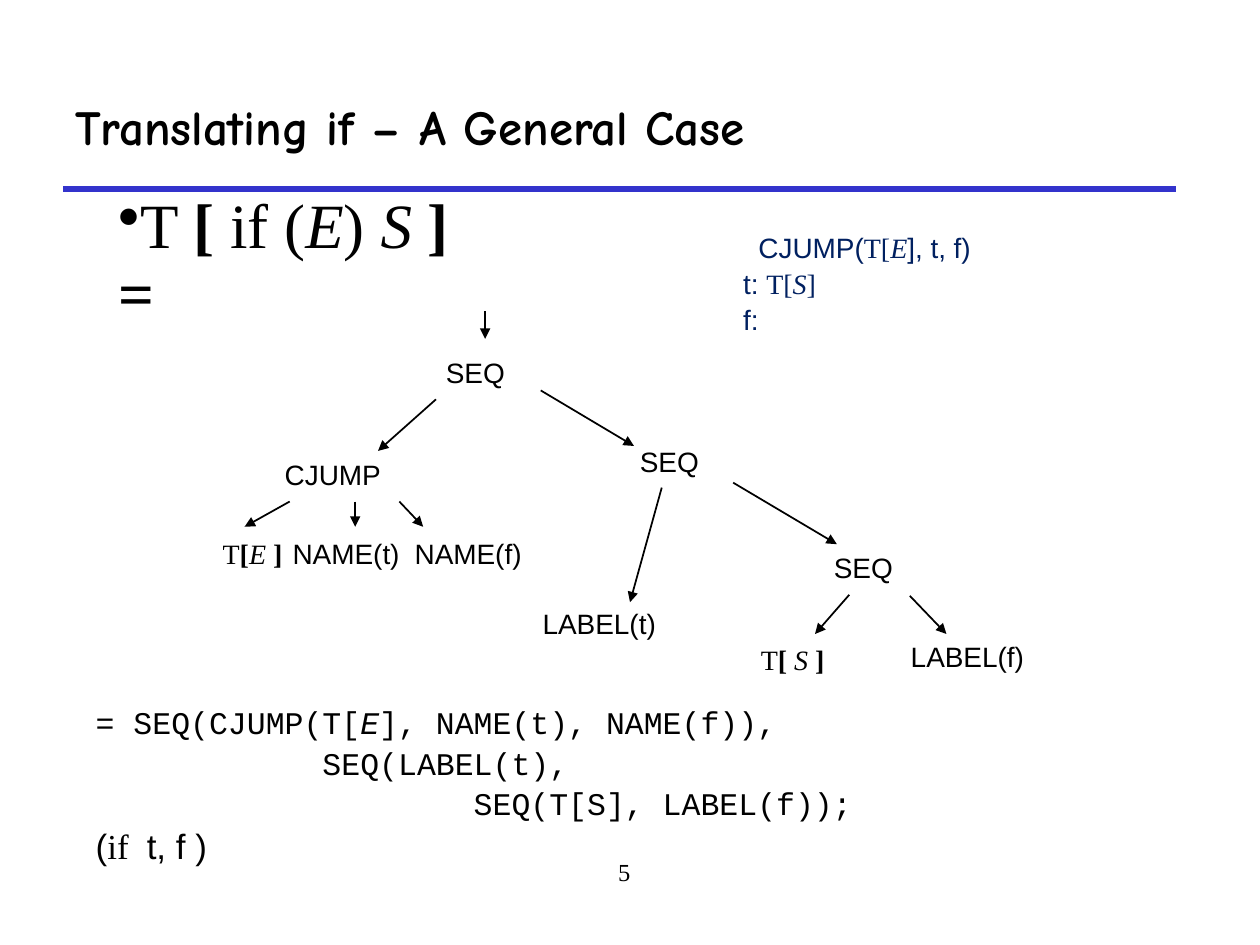
"""Build the slide on translating an if statement into a tree."""
from lxml.etree import SubElement as Sub
from pptx import Presentation
from pptx.dml.color import RGBColor as Rgb
from pptx.enum.shapes import MSO_CONNECTOR as Link
from pptx.enum.text import MSO_ANCHOR as Anchor, PP_ALIGN as Align
from pptx.oxml.ns import qn
from pptx.util import Cm, Pt

HUES = {"ink": "000000", "rule": "3333CC", "navy": "002060"}
SANS, ROMAN, MONO = "Arial", "Times New Roman", "Courier New"

deck = Presentation()
deck.slide_width, deck.slide_height = Cm(25.4), Cm(19.05)
slide = deck.slides.add_slide(deck.slide_layouts[6])


def write(spot, rows, size=16, hue="ink", anchor=Anchor.MIDDLE, wrap=True,
          tabs=(), bullet=None, lead=0.9):
    """Place a text box; each row lists (text, font, style) runs."""
    frame = slide.shapes.add_textbox(*map(Cm, spot)).text_frame
    frame.word_wrap, frame.vertical_anchor = wrap, anchor
    for i, row in enumerate(rows):
        para = frame.add_paragraph() if i else frame.paragraphs[0]
        props = para._p.get_or_add_pPr()
        if bullet:
            Sub(props, qn("a:buChar"), char=bullet)
        if any("\t" in run[0] for run in row):
            stops = Sub(props, qn("a:tabLst"))
            for stop in tabs:
                Sub(stops, qn("a:tab"), pos=str(Cm(stop)), algn="l")
        pts = 20 if "(" == row[0][0] else size
        para.line_spacing = lead
        if i:
            para.space_before = Pt(pts * 0.2)
        para.font.size = Pt(pts)
        para.font.color.rgb = Rgb.from_string(HUES[hue])
        same = len({run[1] for run in row}) == 1
        if same:
            para.font.name = row[0][1]
        for text, face, style in row:
            run = para.add_run()
            run.text = text
            if not same:
                run.font.name = face
            if style:
                run.font.bold, run.font.italic = style == "b", style == "i"
    return frame.paragraphs


def draw(ends, hue="ink", width=1):
    """Draw a straight line and return its line format element."""
    line = slide.shapes.add_connector(Link.STRAIGHT, *map(Cm, ends))
    line.line.color.rgb = Rgb.from_string(HUES[hue])
    line.line.width = Pt(width)
    Sub(line._element.spPr, qn("a:effectLst"))
    return line.line._get_or_add_ln()


draw((1.27, 3.81, 23.7, 3.81), "rule", 3)
write((1.27, 1.27, 22.43, 2.54),
      [[("Translating if – A General Case", "Comic Neue", "b")]], 28, lead=1)
page = write((7.82, 17.15, 9.53, 1.27), [[("5", ROMAN, "")]], 14,
             anchor=Anchor.TOP, lead=1)
page[0].alignment = Align.CENTER

NODES = [
    ("CJUMP", 5.49, 9.17, 2.46),
    ("SEQ", 8.74, 7.11, 1.73),
    ("SEQ", 12.65, 8.92, 1.73),
    ("SEQ", 16.56, 11.05, 1.73),
    ("LABEL(t)", 10.69, 12.17, 2.82),
    ("LABEL(f)", 18.11, 12.85, 2.82),
]
for name, x, y, width in NODES:
    write((x, y, width, 0.86), [[(name, SANS, "")]], wrap=False)

write((4.24, 10.77, 7.01, 0.86),
      [[("T", ROMAN, ""), ("[", ROMAN, "b"), ("E ", ROMAN, "i"),
        ("]", ROMAN, "b"), ("\tNAME(t)\tNAME(f)", SANS, "")]],
      tabs=(1.41, 3.87))
write((15.09, 12.9, 1.8, 0.86),
      [[("T", ROMAN, ""), ("[ ", ROMAN, "b"), ("S ", ROMAN, "i"),
        ("]", ROMAN, "b")]], wrap=False)

ARROWS = [
    (9.78, 6.27, 9.78, 6.83),
    (8.79, 8.05, 7.62, 9.09),
    (10.9, 7.87, 12.78, 8.99),
    (5.84, 10.11, 4.93, 10.62),
    (7.16, 10.11, 7.16, 10.62),
    (8.05, 10.11, 8.53, 10.62),
    (13.34, 9.83, 12.7, 12.14),
    (14.78, 9.73, 16.87, 10.97),
    (17.12, 11.99, 16.43, 12.78),
    (18.34, 12.01, 19.08, 12.78),
]
for ends in ARROWS:
    Sub(draw(ends), qn("a:tailEnd"), type="triangle")

write((1.68, 13.97, 21.08, 3.81), [
    [("= SEQ(CJUMP(T[", MONO, ""), ("E", MONO, "i"),
     ("], NAME(t), NAME(f)),", MONO, "")],
    [("            SEQ(LABEL(t),", MONO, "")],
    [("                    SEQ(T[S], LABEL(f));", MONO, "")],
    [("(", SANS, ""), ("if", ROMAN, ""), ("\tt, f )", SANS, "")],
], 18, tabs=(1.03,))
write((2.13, 4.39, 7.87, 1.78),
      [[("T ", ROMAN, ""), ("[", ROMAN, "b"), (" if (", ROMAN, ""),
        ("E", ROMAN, "i"), (") ", ROMAN, ""), ("S ", ROMAN, "i"),
        ("] =", ROMAN, "b")]], 36, bullet="•")
code = write((14.73, 4.6, 7.65, 2.36), [
    [("CJUMP(", SANS, ""), ("T[", ROMAN, ""), ("E", ROMAN, "i"),
     ("], t, f)", SANS, "")],
    [("t: ", SANS, ""), ("T[", ROMAN, ""), ("S", ROMAN, "i"),
     ("]", ROMAN, "")],
    [("f:", SANS, "")],
], hue="navy", anchor=Anchor.TOP)
code[0]._p.get_or_add_pPr().set("indent", str(Cm(0.31)))

deck.save("out.pptx")
